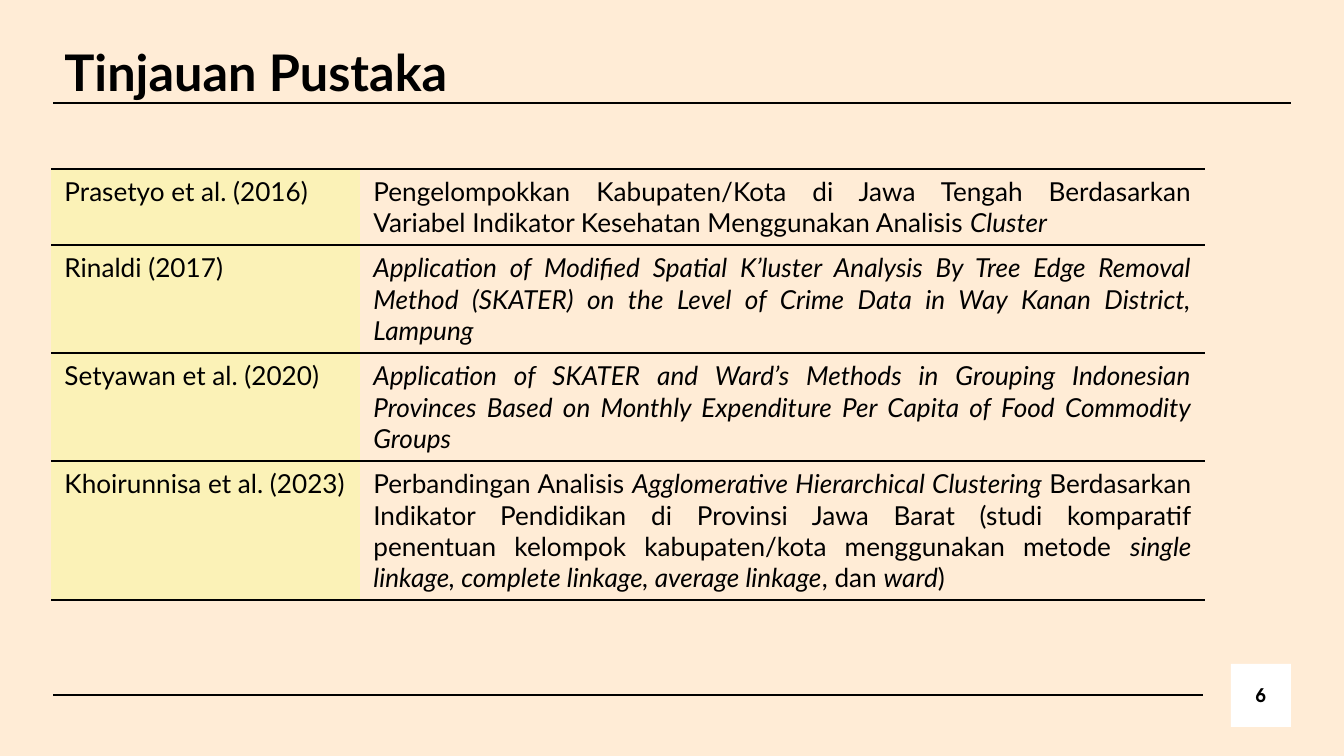
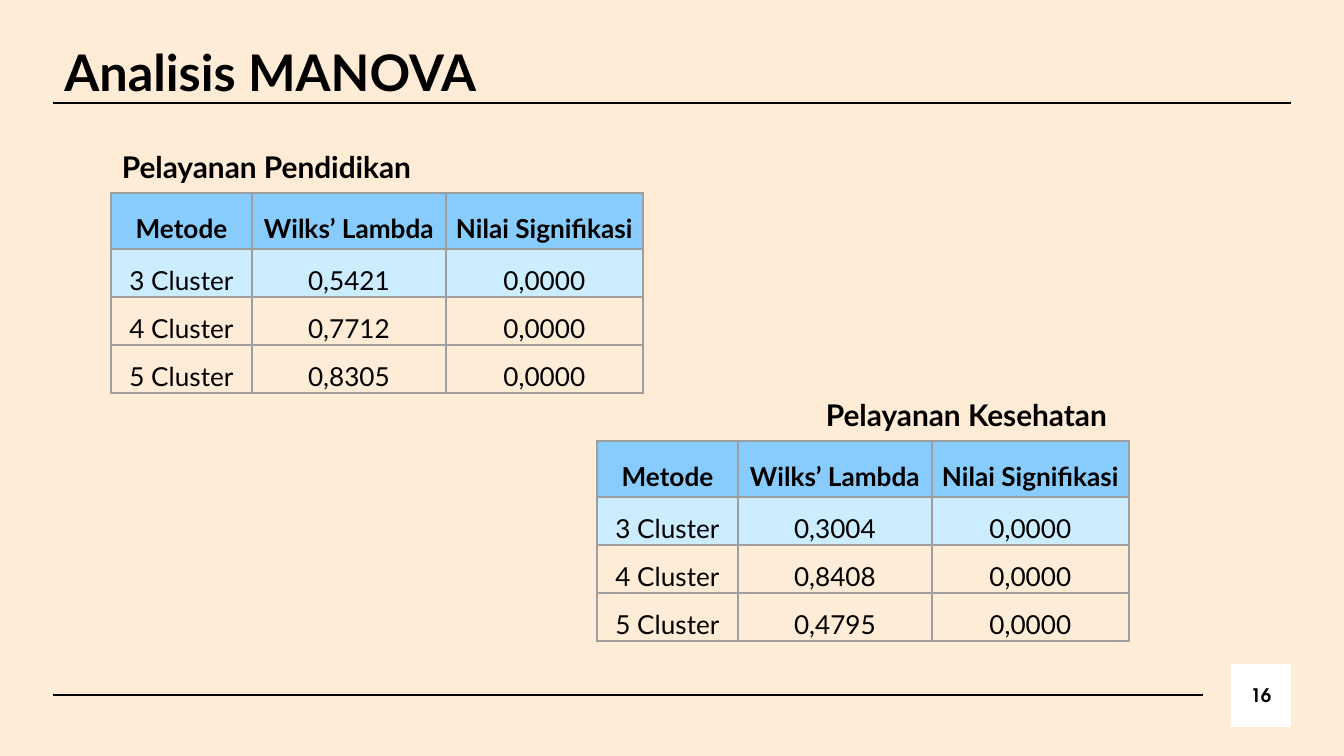
"""Builds two slides: a literature review table and MANOVA results."""
from lxml import etree
from pptx import Presentation
from pptx import util as u
from pptx.dml.color import RGBColor
from pptx.enum import shapes, text
from pptx.oxml import ns

BLACK = RGBColor(0x00, 0x00, 0x00)
WHITE = RGBColor(0xFF, 0xFF, 0xFF)
CREAM = RGBColor(0xFF, 0xEC, 0xD6)
YELLOW = RGBColor(0xFB, 0xF2, 0xB7)
BLUE = RGBColor(0x87, 0xCC, 0xFC)
PALE_BLUE = RGBColor(0xCC, 0xEC, 0xFF)
GREY = RGBColor(0x9E, 0x9E, 0x9E)
BODY_FONT = "Lato"
NUMBER_FONT = "TeX Gyre Adventor"
SLIDE_WIDTH, SLIDE_HEIGHT = 1344, 756
SCALE = u.Inches(10) / SLIDE_WIDTH
LEFT, CENTER, JUSTIFY = text.PP_ALIGN.LEFT, text.PP_ALIGN.CENTER, text.PP_ALIGN.JUSTIFY
TOP, MIDDLE = text.MSO_ANCHOR.TOP, text.MSO_ANCHOR.MIDDLE

RULES = [(1291, 53, 103), (1203, 53, 695)]

REVIEW_PLACE = (51, 169)
REVIEW_COLUMNS = [309, 845]
REVIEW_ROWS = [76, 108, 108, 139]
REVIEWS = [
    ("Prasetyo et al. (2016)", [
        ("Pengelompokkan Kabupaten/Kota di Jawa Tengah Berdasarkan Variabel Indikator "
         "Kesehatan Menggunakan Analisis ", False),
        ("Cluster", True)]),
    ("Rinaldi (2017)", [
        ("Application of Modified Spatial K’luster Analysis By Tree Edge Removal Method "
         "(SKATER) on the Level of Crime Data in Way Kanan District, Lampung", True)]),
    ("Setyawan et al. (2020)", [
        ("Application of SKATER and Ward’s Methods in Grouping Indonesian Provinces Based "
         "on Monthly Expenditure Per Capita of Food Commodity Groups", True)]),
    ("Khoirunnisa et al. (2023)", [
        ("Perbandingan Analisis ", False),
        ("Agglomerative Hierarchical Clustering ", True),
        ("Berdasarkan Indikator Pendidikan di Provinsi Jawa Barat (studi komparatif "
         "penentuan kelompok kabupaten/kota menggunakan metode ", False),
        ("single linkage, complete linkage, average linkage", True),
        (", dan ", False),
        ("ward", True),
        (")", False)]),
]

MANOVA_COLUMNS = [141, 194, 197]
MANOVA_ROWS = [56, 48, 48, 48]
MANOVA_HEADER = ("Metode", "Wilks’ Lambda", "Nilai Signifikasi")
MANOVA_FILLS = [BLUE, PALE_BLUE, None, None]
MANOVA = [
    {"heading": "Pelayanan Pendidikan", "heading_place": (98, 132), "place": (111, 193),
     "rows": [("3 Cluster", "0,5421", "0,0000"),
              ("4 Cluster", "0,7712", "0,0000"),
              ("5 Cluster", "0,8305", "0,0000")]},
    {"heading": "Pelayanan Kesehatan", "heading_place": (798, 380), "place": (597, 441),
     "rows": [("3 Cluster", "0,3004", "0,0000"),
              ("4 Cluster", "0,8408", "0,0000"),
              ("5 Cluster", "0,4795", "0,0000")]},
]


def px(*lengths):
    return [u.Emu(round(length * SCALE)) for length in lengths]


def add_span(para, words, size, bold=False, italic=False, font=BODY_FONT):
    span = para.add_run()
    span.text = words
    span.font.name = font
    span.font.size = u.Pt(size)
    span.font.bold = bold
    span.font.italic = italic
    span.font.color.rgb = BLACK


def write_box(box, words, size, align, anchor, font=BODY_FONT):
    frame = box.text_frame
    frame.word_wrap = True
    frame.auto_size = text.MSO_AUTO_SIZE.NONE
    frame.vertical_anchor = anchor
    frame.margin_left = frame.margin_right = u.Inches(0.1)
    frame.margin_top = frame.margin_bottom = u.Inches(0.1)
    para = frame.paragraphs[0]
    para.alignment = align
    add_span(para, words, size, bold=True, font=font)


def add_page(deck, title, title_width, number):
    page = deck.slides.add_slide(deck.slide_layouts[5])
    for start, end, y in RULES:
        rule = page.shapes.add_connector(shapes.MSO_CONNECTOR.STRAIGHT, *px(start, y, end, y))
        rule.line.color.rgb = BLACK
        rule.line.width = u.Pt(0.75)
        etree.SubElement(rule.element.spPr, ns.qn("a:effectLst"))
    box = page.shapes.title
    box.left, box.top, box.width, box.height = px(51, 28, title_width, 85)
    write_box(box, title, 27, LEFT, TOP)
    badge = page.shapes.add_shape(shapes.MSO_SHAPE.RECTANGLE, *px(1231, 664, 60, 63))
    badge.shadow.inherit = False
    badge.fill.solid()
    badge.fill.fore_color.rgb = WHITE
    badge.line.fill.background()
    write_box(badge, number, 10, CENTER, MIDDLE, NUMBER_FONT)
    return page


def add_grid(page, place, columns, rows):
    frame = page.shapes.add_table(
        len(rows), len(columns), *px(*place, sum(columns), sum(rows)))
    grid = frame.table
    grid.first_row = grid.horz_banding = False
    for column, width in zip(grid.columns, px(*columns)):
        column.width = width
    for row, height in zip(grid.rows, px(*rows)):
        row.height = height
    return grid


def style_cell(cell, fill, sides, color, width):
    props = cell._tc.get_or_add_tcPr()
    for side in "LRTB":
        line = etree.SubElement(props, ns.qn(f"a:ln{side}"), w=str(u.Pt(width)))
        if side in sides:
            paint = etree.SubElement(line, ns.qn("a:solidFill"))
            etree.SubElement(paint, ns.qn("a:srgbClr"), val=str(color))
        else:
            etree.SubElement(line, ns.qn("a:noFill"))
    if fill is None:
        cell.fill.background()
    else:
        cell.fill.solid()
        cell.fill.fore_color.rgb = fill


def add_reviews(page):
    grid = add_grid(page, REVIEW_PLACE, REVIEW_COLUMNS, REVIEW_ROWS)
    for row, (author, study) in enumerate(REVIEWS):
        columns = [([(author, False)], LEFT, YELLOW), (study, JUSTIFY, None)]
        for column, (spans, align, fill) in enumerate(columns):
            cell = grid.cell(row, column)
            style_cell(cell, fill, "TB", BLACK, 1)
            para = cell.text_frame.paragraphs[0]
            para.alignment = align
            for words, italic in spans:
                add_span(para, words, 14, italic=italic)


def add_manova(page, result):
    grid = add_grid(page, result["place"], MANOVA_COLUMNS, MANOVA_ROWS)
    for row, values in enumerate([MANOVA_HEADER, *result["rows"]]):
        for column, words in enumerate(values):
            cell = grid.cell(row, column)
            style_cell(cell, MANOVA_FILLS[row], "LRTB", GREY, 0.75)
            cell.margin_left = cell.margin_right = u.Inches(0.07)
            cell.margin_top = cell.margin_bottom = 0
            cell.vertical_anchor = TOP if row else MIDDLE
            para = cell.text_frame.paragraphs[0]
            para.alignment = CENTER
            para.line_spacing = 1.5
            add_span(para, words, 14, bold=row == 0)
    box = page.shapes.add_textbox(*px(*result["heading_place"], 337, 70))
    write_box(box, result["heading"], 16, CENTER, MIDDLE)


def main():
    deck = Presentation()
    deck.slide_width, deck.slide_height = px(SLIDE_WIDTH, SLIDE_HEIGHT)
    backdrop = deck.slide_master.background.fill
    backdrop.solid()
    backdrop.fore_color.rgb = CREAM
    add_reviews(add_page(deck, "Tinjauan Pustaka", 452, "6"))
    page = add_page(deck, "Analisis MANOVA", 1005, "16")
    for result in MANOVA:
        add_manova(page, result)
    deck.save("out.pptx")


if __name__ == "__main__":
    main()
